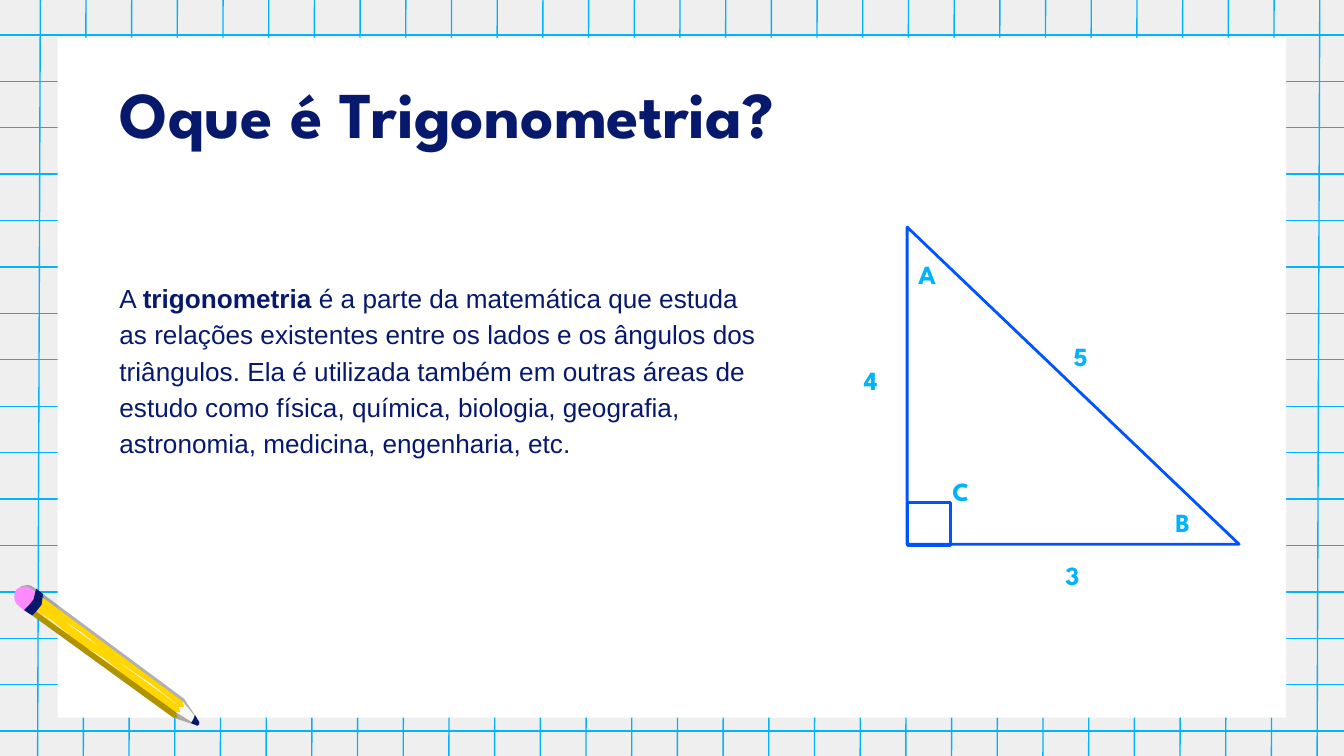
from lxml.etree import SubElement
from pptx import Presentation
from pptx.dml.color import RGBColor
from pptx.enum.shapes import MSO_CONNECTOR, MSO_SHAPE
from pptx.enum.text import PP_ALIGN
from pptx.oxml.ns import qn
from pptx.util import Inches, Pt

WIDE = 10
HIGH = WIDE * 9 / 16
NAVY, SKY, BLUE = "07196D", "01B2FD", "0054FF"
WHITE, GREY, BLACK = "FFFFFF", "EFEFEF", "000000"
PINK, GOLD, CREAM = "FE8AFF", "FFD600", "F8F7F5"
HEAD, BODY = "League Spartan", "Arial"

# Outlines: a pair is a corner, six numbers are a Bezier curve.
RIM = [(0.17, 4.36), (0.16, 4.36, 0.15, 4.37, 0.14, 4.38),
       (0.11, 4.41, 0.11, 4.46, 0.15, 4.49), (0.2, 4.54),
       (0.23, 4.55, 0.26, 4.56, 0.28, 4.55),
       (0.29, 4.54, 0.31, 4.54, 0.32, 4.52),
       (0.34, 4.49, 0.34, 4.44, 0.3, 4.41), (0.25, 4.37),
       (0.22, 4.35, 0.2, 4.35, 0.17, 4.36)]
ERASER = [(0.16, 4.37), (0.14, 4.37, 0.13, 4.38, 0.12, 4.39),
          (0.1, 4.43, 0.1, 4.47, 0.13, 4.5), (0.19, 4.55),
          (0.21, 4.57, 0.24, 4.57, 0.27, 4.56),
          (0.28, 4.55, 0.29, 4.55, 0.3, 4.53),
          (0.33, 4.5, 0.32, 4.45, 0.29, 4.42), (0.23, 4.38),
          (0.21, 4.36, 0.18, 4.36, 0.16, 4.37)]
SHADE = [(0.32, 4.42), (0.29, 4.46), (0.29, 4.54), (0.25, 4.55), (1.3, 5.32),
         (1.33, 5.33), (1.33, 5.28), (1.36, 5.28), (1.35, 5.24),
         (1.49, 5.38), (1.37, 5.2)]
WOOD = [(1.29, 5.21), (1.24, 5.26), (1.29, 5.34), (1.41, 5.38), (1.47, 5.4),
        (1.48, 5.37), (1.45, 5.33), (1.36, 5.22)]
BARREL = [(0.31, 4.44), (0.3, 4.49), (0.26, 4.55), (0.23, 4.57), (1.29, 5.34),
          (1.32, 5.34), (1.31, 5.3), (1.34, 5.3), (1.33, 5.26), (1.37, 5.26),
          (1.36, 5.22)]
BAND = [(0.27, 4.38), (0.26, 4.42), (0.25, 4.46), (0.22, 4.5), (0.18, 4.54),
        (0.24, 4.58), (0.27, 4.55), (0.31, 4.5), (0.32, 4.42)]
LEAD = [(1.45, 5.32), (1.44, 5.36, 1.42, 5.38, 1.42, 5.38), (1.47, 5.4),
        (1.49, 5.39, 1.48, 5.37, 1.48, 5.37)]
EDGE = [(0.27, 4.55), (0.24, 4.58), (1.29, 5.34), (1.47, 5.4), (1.31, 5.3)]
PENCIL = [(RIM, BLACK, 31), (ERASER, PINK, None), (SHADE, BLACK, 31),
          (WOOD, CREAM, None), (BARREL, GOLD, None), (BAND, NAVY, None),
          (LEAD, NAVY, None), (EDGE, BLACK, 31)]
GLINTS = [(0.89, 4.93, 0.44, 0.32), (0.49, 4.63, 0.23, 0.17),
          (0.66, 4.83, 0.23, 0.16), (0.28, 4.55, 0.23, 0.17)]

LABELS = [("A", 6.63, 1.82), ("B", 8.53, 3.67), ("C", 6.88, 3.44),
          ("3", 7.71, 4.06), ("5", 7.77, 2.43), ("4", 6.21, 2.61)]


def color(code):
    return RGBColor.from_string(code)


def paint(shape, fill=None, line=None, alpha=None):
    shape.shadow.inherit = False
    if fill:
        shape.fill.solid()
        shape.fill.fore_color.rgb = color(fill)
    else:
        shape.fill.background()
    if alpha:
        tone = shape.fill._xPr.find(qn("a:solidFill"))[0]
        SubElement(tone, qn("a:alpha"), val=str(alpha * 1000))
    if line:
        shape.line.color.rgb = color(line)
        shape.line.width = Pt(1.5)
    else:
        shape.line.fill.background()


def add_box(shapes, kind, x, y, w, h, **look):
    box = shapes.add_shape(kind, Inches(x), Inches(y), Inches(w), Inches(h))
    paint(box, **look)


def add_rule(shapes, x1, y1, x2, y2):
    rule = shapes.add_connector(MSO_CONNECTOR.STRAIGHT, Inches(x1), Inches(y1),
                                Inches(x2), Inches(y2))
    rule.line.color.rgb = color(SKY)
    rule.line.width = Pt(0.75)
    SubElement(rule._element.spPr, qn("a:effectLst"))


def trace(outline, steps=6):
    """Turn corners and curves into a list of points."""
    points = []
    for part in outline:
        if len(part) == 2:
            points.append(part)
            continue
        x0, y0 = points[-1]
        x1, y1, x2, y2, x3, y3 = part
        for step in range(1, steps + 1):
            t = step / steps
            a, b, c, d = (1-t)**3, 3*t*(1-t)**2, 3*t*t*(1-t), t**3
            points.append((a*x0 + b*x1 + c*x2 + d*x3,
                           a*y0 + b*y1 + c*y2 + d*y3))
    return points


def add_free(shapes, outline, fill, alpha=None):
    points = [(Inches(x), Inches(y)) for x, y in trace(outline)]
    pen = shapes.build_freeform(*points[0])
    pen.add_line_segments(points[1:])
    paint(pen.convert_to_shape(), fill=fill, alpha=alpha)


def add_text(shapes, x, y, w, h, parts, size, font, tint,
             align=PP_ALIGN.LEFT, space=None):
    """Add one paragraph; parts are pairs of words and boldness."""
    frame = shapes.add_textbox(Inches(x), Inches(y), Inches(w),
                               Inches(h)).text_frame
    frame.word_wrap = True
    frame.margin_left = frame.margin_right = Inches(0.1)
    frame.margin_top = frame.margin_bottom = Inches(0.1)
    para = frame.paragraphs[0]
    para.alignment = align
    para.line_spacing = space
    for words, bold in parts:
        run = para.add_run()
        run.text = words
        run.font.size = Pt(size)
        run.font.name = font
        run.font.bold = bold
        run.font.color.rgb = color(tint)


def add_grid(shapes):
    for row in range(16):
        y = 0.26 + row * 5.18 / 15
        add_rule(shapes, 0, y, WIDE, y)
    for col in range(29):
        x = 0.3 + col * 0.34
        add_rule(shapes, x, 0, x - 0.02, HIGH)


def add_pencil(shapes):
    for outline, fill, alpha in PENCIL:
        add_free(shapes, outline, fill, alpha)
    for x, y, w, h in GLINTS:
        mid, half = x + w / 2, y + h / 2
        add_free(shapes, [(x, y), (mid, half - 0.01), (x + w, y + h),
                          (mid, half)], CREAM)


def add_figure(shapes):
    add_box(shapes, MSO_SHAPE.RIGHT_TRIANGLE, 6.75, 1.69, 2.47, 2.36,
            line=BLUE)
    add_box(shapes, MSO_SHAPE.RECTANGLE, 6.75, 3.74, 0.32, 0.32, line=BLUE)
    for name, x, y in LABELS:
        add_text(shapes, x, y, 0.54, 0.53, [(name, True)], 14, HEAD, SKY,
                 PP_ALIGN.CENTER)


def main():
    deck = Presentation()
    deck.slide_width, deck.slide_height = Inches(WIDE), Inches(HIGH)
    slide = deck.slides.add_slide(deck.slide_layouts[6])
    slide.background.fill.solid()
    slide.background.fill.fore_color.rgb = color(GREY)
    shapes = slide.shapes

    add_grid(shapes)
    add_box(shapes, MSO_SHAPE.RECTANGLE, 0.43, 0.28, 9.14, 5.06, fill=WHITE)
    add_text(shapes, 0.79, 0.36, 8.43, 0.63, [("Oque é Trigonometria?", True)],
             35, HEAD, NAVY, space=1.15)
    add_text(shapes, 0.79, 1.97, 4.98, 2.07, [
        ("A ", False), ("trigonometria", True),
        (" é a parte da matemática que estuda as relações existentes entre os "
         "lados e os ângulos dos triângulos. Ela é utilizada também em outras "
         "áreas de estudo como física, química, biologia, geografia, "
         "astronomia, medicina, engenharia, etc.", False),
    ], 14, BODY, NAVY, space=1.15)
    add_pencil(shapes)
    add_figure(shapes)
    deck.save("out.pptx")


if __name__ == "__main__":
    main()
